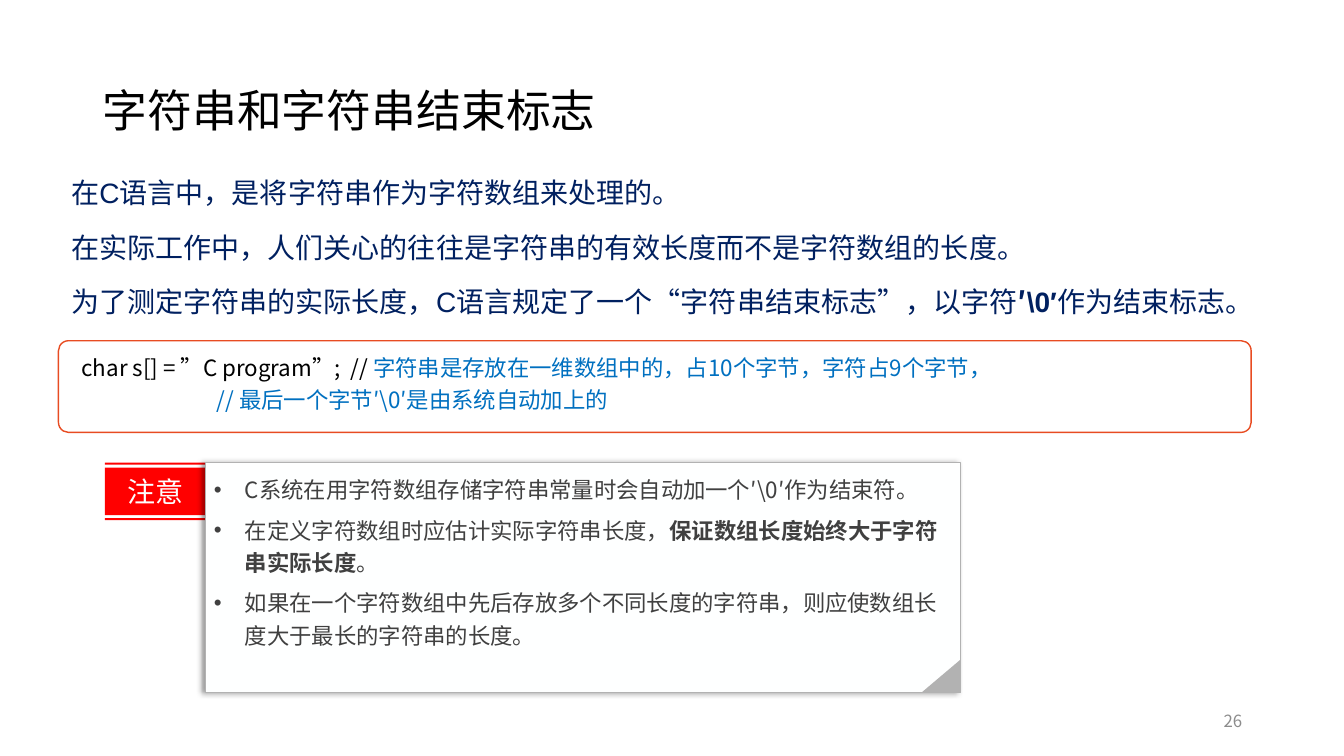
from lxml.etree import SubElement
from pptx import Presentation
from pptx.dml.color import RGBColor
from pptx.enum.shapes import MSO_SHAPE
from pptx.enum.text import MSO_ANCHOR, PP_ALIGN
from pptx.oxml import parse_xml
from pptx.oxml.ns import nsdecls, qn
from pptx.util import Pt

PX = 9144  # EMU per px, 100 px to the inch
CJK = "Noto Sans CJK SC"
THEME = {
    "ink": RGBColor.from_string("000000"),
    "navy": RGBColor.from_string("002060"),
    "comment": RGBColor.from_string("0070C0"),
    "note": RGBColor.from_string("404040"),
    "number": RGBColor.from_string("8C8C8C"),
    "red": RGBColor.from_string("FF0000"),
    "orange": RGBColor.from_string("E84C22"),
    "gray": RGBColor.from_string("B2B2B2"),
    "paper": RGBColor.from_string("FEFFFF"),
    "white": RGBColor.from_string("FFFFFF"),
    "title_size": 32, "body_size": 20, "note_size": 16, "number_size": 12,
}


def write(shape, paragraphs, size, insets=(10, 5, 10, 5), anchor=MSO_ANCHOR.TOP,
          align=PP_ALIGN.LEFT, spacing=1.0, before=0, after=0, bullet=False, latin=CJK):
    """Fill a shape with paragraphs, each a list of (text, colour, bold) runs."""
    frame = shape.text_frame
    frame.word_wrap = True
    frame.vertical_anchor = anchor
    frame.margin_left, frame.margin_top, frame.margin_right, frame.margin_bottom = (
        inset * PX for inset in insets)
    for index, runs in enumerate(paragraphs):
        paragraph = frame.add_paragraph() if index else frame.paragraphs[0]
        if bullet:
            properties = paragraph._p.get_or_add_pPr()
            properties.set("marL", str(31 * PX))
            properties.set("indent", str(-31 * PX))
            SubElement(properties, qn("a:buFont"), typeface="Arial")
            SubElement(properties, qn("a:buChar"), char="•")
        paragraph.alignment = align
        paragraph.line_spacing = spacing
        paragraph.space_before = Pt(before if index else 0)
        paragraph.space_after = Pt(after)
        for text, colour, bold in runs:
            run = paragraph.add_run()
            run.text = text
            run.font.size = Pt(size)
            run.font.bold = bold
            run.font.color.rgb = THEME[colour]
            run.font.name = latin
            SubElement(run._r.get_or_add_rPr(), qn("a:ea"), typeface=CJK)


def paint(shape, fill, line=None, width=1):
    shape.shadow.inherit = False
    shape.fill.solid()
    shape.fill.fore_color.rgb = THEME[fill]
    if line:
        shape.line.color.rgb = THEME[line]
        shape.line.width = Pt(width)
    else:
        shape.line.fill.background()


presentation = Presentation()
presentation.slide_width, presentation.slide_height = 1333 * PX, 750 * PX
shapes = presentation.slides.add_slide(presentation.slide_layouts[6]).shapes

title = shapes.add_textbox(92 * PX, 40 * PX, 1150 * PX, 145 * PX)
write(title, [[("字符串和字符串结束标志", "ink", False)]], THEME["title_size"],
      anchor=MSO_ANCHOR.MIDDLE, spacing=0.9)

explanation = shapes.add_textbox(61 * PX, 163 * PX, 1233 * PX, 145 * PX)
write(explanation, [
    [("在C语言中，是将字符串作为字符数组来处理的。", "navy", False)],
    [("在实际工作中，人们关心的往往是字符串的有效长度而不是字符数组的长度。", "navy", False)],
    [("为了测定字符串的实际长度，C语言规定了一个“字符串结束标志”，以字符", "navy", False),
     ("′\\0′", "navy", True),
     ("作为结束标志。", "navy", False)],
], THEME["body_size"], spacing=1.2, before=10, latin="Arial")

# Label: a thick band between two thin stripes
left, right = 104, 204
ribbon = shapes.build_freeform(left, 459, scale=PX)
for top, bottom in ((459, 461), (464, 511), (514, 516)):
    ribbon.move_to(left, top)
    ribbon.add_line_segments([(right, top), (right, bottom), (left, bottom)], close=True)
notice = ribbon.convert_to_shape()
paint(notice, "red")
write(notice, [[("注意", "paper", False)]], THEME["body_size"],
      anchor=MSO_ANCHOR.MIDDLE, align=PP_ALIGN.CENTER)

advice = shapes.add_shape(MSO_SHAPE.RECTANGLE, 204 * PX, 459 * PX, 749 * PX, 228 * PX)
paint(advice, "paper", "gray", 0.75)
advice._element.spPr.find(qn("a:effectLst")).append(parse_xml(
    f'<a:outerShdw {nsdecls("a")} blurRad="{Pt(4)}" dist="{Pt(3)}" dir="10800000" '
    'algn="r" rotWithShape="0"><a:srgbClr val="000000"><a:alpha val="40000"/>'
    '</a:srgbClr></a:outerShdw>'))
write(advice, [
    [("C系统在用字符数组存储字符串常量时会自动加一个′\\0′作为结束符。", "note", False)],
    [("在定义字符数组时应估计实际字符串长度，", "note", False),
     ("保证数组长度始终大于字符串实际长度", "note", True),
     ("。", "note", False)],
    [("如果在一个字符数组中先后存放多个不同长度的字符串，则应使数组长度大于最长的字符串的长度。",
      "note", False)],
], THEME["note_size"], insets=(8, 8, 8, 8), spacing=1.2, after=6, bullet=True)

folded_corner = shapes.add_shape(
    MSO_SHAPE.RIGHT_TRIANGLE, 917 * PX, 651 * PX, 33 * PX, 39 * PX)
folded_corner.rotation = 270
paint(folded_corner, "gray")

code = shapes.add_shape(MSO_SHAPE.ROUNDED_RECTANGLE, 58 * PX, 338 * PX, 1183 * PX, 91 * PX)
code.adjustments[0] = 0.11
paint(code, "white", "orange")
write(code, [
    [("char s[] = ”C program”;  // ", "ink", False),
     ("字符串是存放在一维数组中的，占10个字节，字符占9个字节，", "comment", False)],
    [("                           // 最后一个字节′\\0′是由系统自动加上的", "comment", False)],
], THEME["note_size"], insets=(20, 5, 10, 5), spacing=1.2)

page_number = shapes.add_textbox(942 * PX, 695 * PX, 300 * PX, 40 * PX)
write(page_number, [[("26", "number", False)]], THEME["number_size"],
      anchor=MSO_ANCHOR.MIDDLE, align=PP_ALIGN.RIGHT)

presentation.save("out.pptx")
